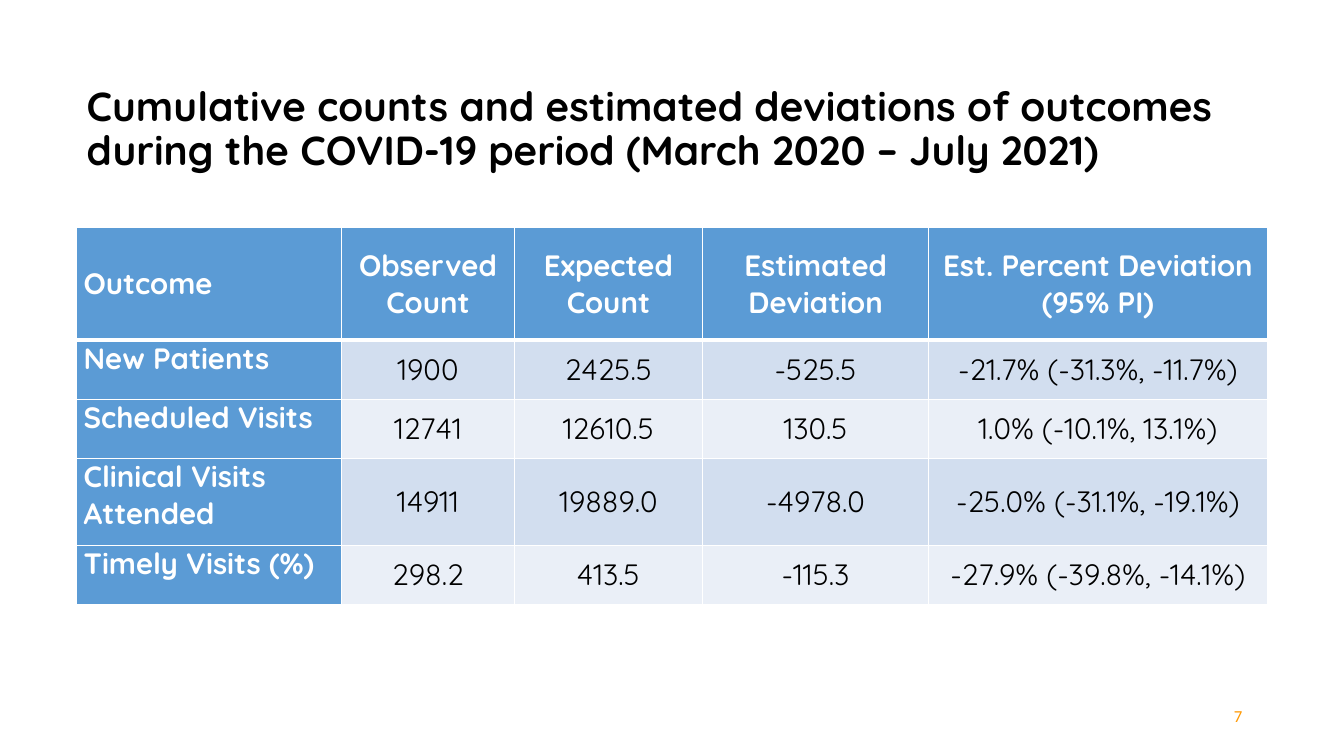
"""Build a slide with a table of outcome counts and deviations."""
import lxml.etree
import pptx
import pptx.dml.color
import pptx.enum.text
import pptx.oxml.ns
import pptx.util

PX = 9144
RGB = pptx.dml.color.RGBColor
ALIGN = pptx.enum.text.PP_ALIGN
ANCHOR = pptx.enum.text.MSO_ANCHOR
BLACK = RGB(0x00, 0x00, 0x00)
WHITE = RGB(0xFF, 0xFF, 0xFF)
BLUE = RGB(0x5B, 0x9B, 0xD5)
BANDS = (RGB(0xD2, 0xDE, 0xEF), RGB(0xEA, 0xEF, 0xF7))
ORANGE = RGB(0xFF, 0x98, 0x00)

TITLE = ("Cumulative counts and estimated deviations of outcomes "
         "during the COVID-19 period (March 2020 – July 2021)")
ROWS = (
    ("Outcome", "Observed Count", "Expected Count", "Estimated Deviation",
     "Est. Percent Deviation (95% PI)"),
    ("New Patients", "1900", "2425.5", "-525.5", "-21.7% (-31.3%, -11.7%)"),
    ("Scheduled Visits", "12741", "12610.5", "130.5", "1.0% (-10.1%, 13.1%)"),
    ("Clinical Visits Attended", "14911", "19889.0", "-4978.0",
     "-25.0% (-31.1%, -19.1%)"),
    ("Timely Visits (%)", "298.2", "413.5", "-115.3",
     "-27.9% (-39.8%, -14.1%)"),
)
WRAPPED_LABEL = "Clinical Visits Attended"
COLUMN_WIDTHS = (263, 171, 187, 224, 336)
ROW_HEIGHTS = (111, 59, 59, 86, 59)


def set_all(target, values):
    """Set each attribute named in a dict."""
    for name, value in values.items():
        setattr(target, name, value)


def write(frame, text, color, align, **font):
    """Write one formatted paragraph into a text frame."""
    para = frame.paragraphs[0]
    para.alignment = align
    span = para.add_run()
    span.text = text
    set_all(span.font, font)
    span.font.color.rgb = color
    return para


def place(shape, left, top, width, height):
    """Position a shape by px lengths."""
    set_all(shape, {"left": left * PX, "top": top * PX,
                    "width": width * PX, "height": height * PX})


def border(cell, bottom):
    """Draw white lines on the four sides of a cell."""
    properties = cell._tc.get_or_add_tcPr()
    widths = {"a:lnL": 1, "a:lnR": 1, "a:lnT": 1, "a:lnB": bottom}
    for index, (tag, width) in enumerate(widths.items()):
        line = lxml.etree.Element(pptx.oxml.ns.qn(tag),
                                  w=str(pptx.util.Pt(width)))
        fill = lxml.etree.SubElement(line, pptx.oxml.ns.qn("a:solidFill"))
        lxml.etree.SubElement(fill, pptx.oxml.ns.qn("a:srgbClr"),
                              val=str(WHITE))
        properties.insert(index, line)


def fill_cell(cell, text, row, column):
    """Format a cell by its place in the table."""
    heading = row == 0 or column == 0
    label = row > 0 and column == 0
    align = ALIGN.CENTER if column else ALIGN.JUSTIFY
    if text == WRAPPED_LABEL:
        align = ALIGN.LEFT
    set_all(cell, {"margin_left": 7 * PX, "margin_right": 7 * PX,
                   "margin_top": 0, "margin_bottom": 0,
                   "vertical_anchor": ANCHOR.TOP if label else ANCHOR.MIDDLE})
    cell.fill.solid()
    cell.fill.fore_color.rgb = BLUE if heading else BANDS[(row - 1) % 2]
    border(cell, 1 if row else 3)
    write(cell.text_frame, text, WHITE if heading else BLACK, align,
          name="Quicksand", size=pptx.util.Pt(21), bold=heading)


def add_outcomes(page):
    """Add the outcome table."""
    table = page.shapes.add_table(
        len(ROWS), len(COLUMN_WIDTHS), 76 * PX, 226 * PX,
        sum(COLUMN_WIDTHS) * PX, sum(ROW_HEIGHTS) * PX).table
    for column, width in zip(table.columns, COLUMN_WIDTHS):
        column.width = width * PX
    for row, height in zip(table.rows, ROW_HEIGHTS):
        row.height = height * PX
    for row, texts in enumerate(ROWS):
        for column, text in enumerate(texts):
            fill_cell(table.cell(row, column), text, row, column)


def add_title(page):
    """Format the title placeholder."""
    title = page.shapes.title
    place(title, 76, 73, 1165, 112)
    set_all(title.text_frame, {
        "vertical_anchor": ANCHOR.MIDDLE, "word_wrap": True,
        "auto_size": pptx.enum.text.MSO_AUTO_SIZE.NONE})
    para = write(title.text_frame, TITLE, BLACK, ALIGN.LEFT,
                 name="Quicksand", size=pptx.util.Pt(29), bold=True)
    para.line_spacing = 0.9


def add_page_number(page):
    """Add the page number."""
    box = page.shapes.add_textbox(0, 0, 0, 0)
    place(box, 1180, 695, 62, 30)
    set_all(box.text_frame, {"vertical_anchor": ANCHOR.MIDDLE,
                             "word_wrap": True})
    write(box.text_frame, "7", ORANGE, ALIGN.RIGHT,
          name="Calibri", size=pptx.util.Pt(12))


def main():
    """Build and save the deck."""
    deck = pptx.Presentation()
    set_all(deck, {"slide_width": 1333 * PX, "slide_height": 750 * PX})
    page = deck.slides.add_slide(deck.slide_layouts[5])
    add_title(page)
    add_outcomes(page)
    add_page_number(page)
    deck.save("out.pptx")


if __name__ == "__main__":
    main()
